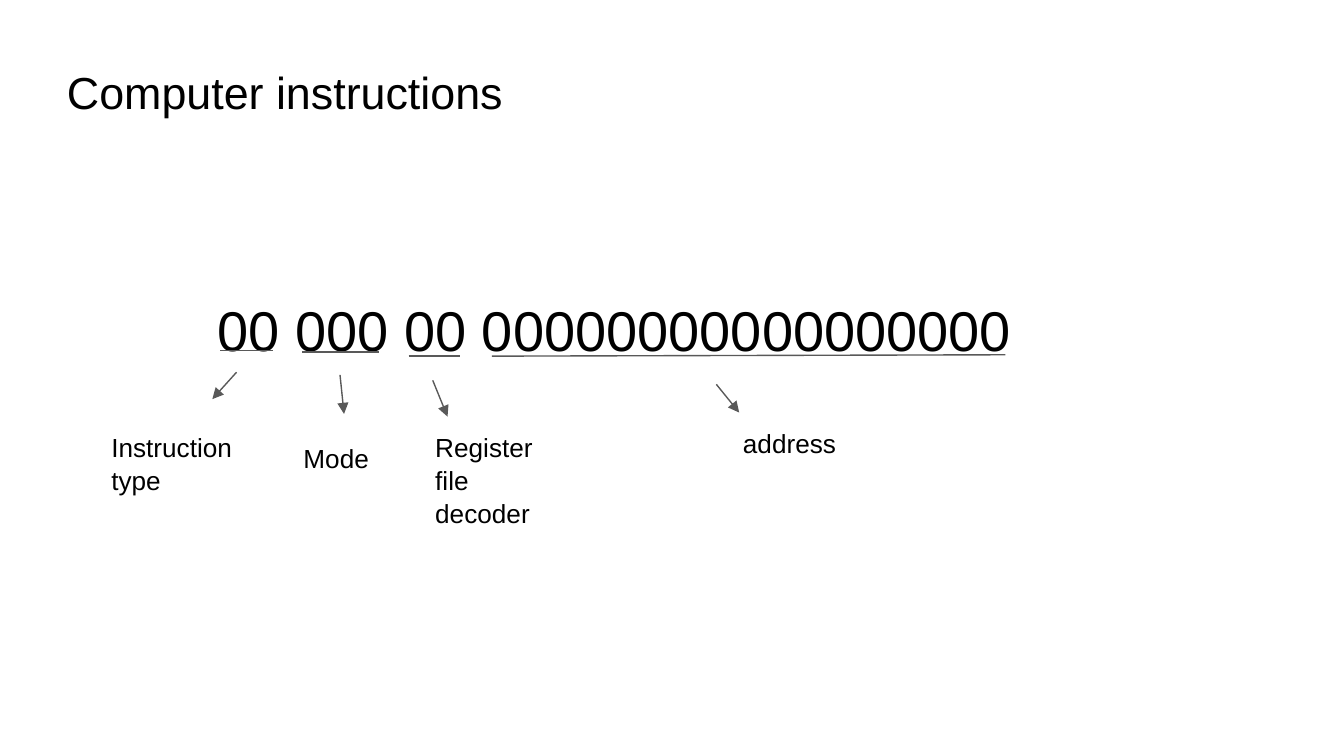
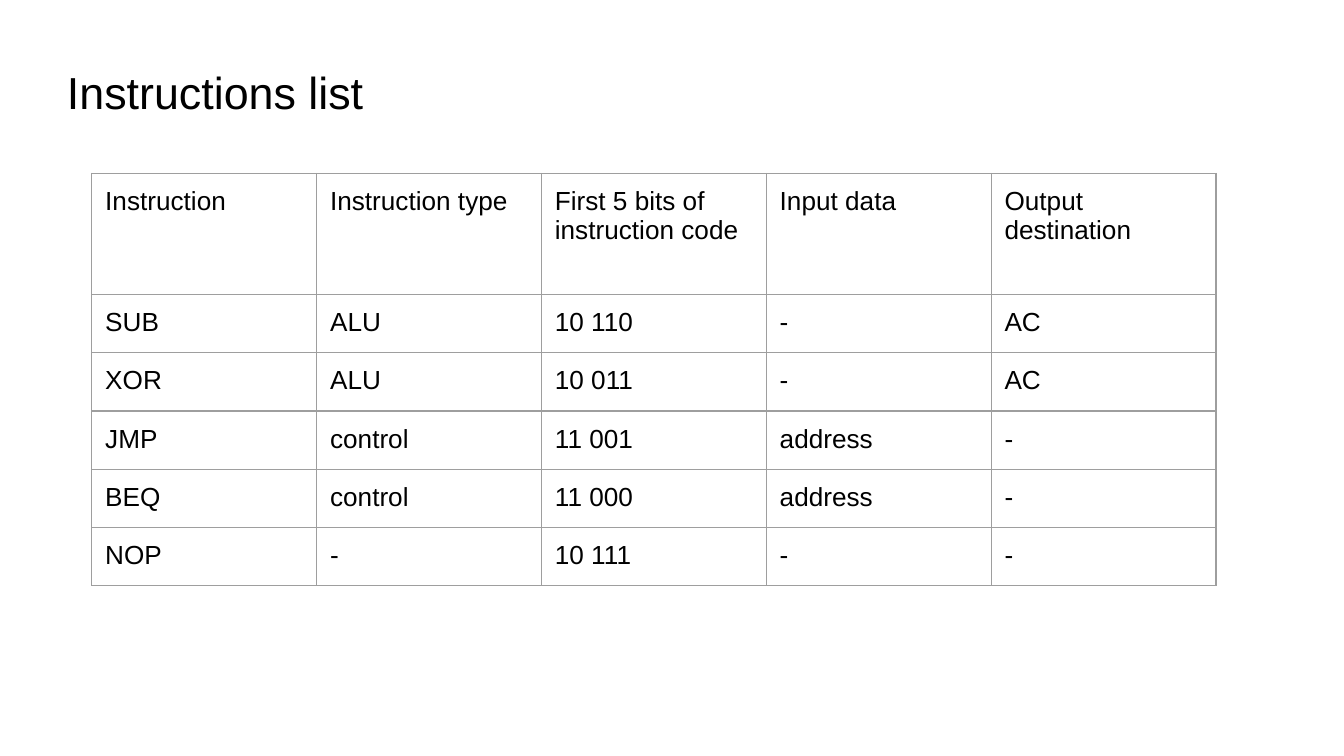
from pptx import Presentation
from pptx.dml.color import RGBColor
from pptx.enum.shapes import MSO_CONNECTOR as Connector
from pptx.oxml.ns import qn
from pptx.util import Inches, Pt
from lxml.etree import SubElement

BLACK, GRAY, BORDER = "000000", "595959", "9E9E9E"
FONT = "Arial"
MARGIN = Inches(0.1)

presentation = Presentation()
presentation.slide_width = Inches(10)
presentation.slide_height = Inches(5.625)
COLUMN = presentation.slide_width / 100
ROW = presentation.slide_height / 56.25


def color(value):
    return RGBColor.from_string(value)


def write(frame, text, size=14, spacing=1.0, fill=BLACK):
    frame.word_wrap = True
    frame.text = text
    for paragraph in frame.paragraphs:
        paragraph.line_spacing = spacing
        font = paragraph.font
        for run in paragraph.runs:
            font = run.font
            font.name, font.size = FONT, Pt(size)
            font.color.rgb = color(fill)


fields_slide, list_slide = [
    presentation.slides.add_slide(presentation.slide_layouts[6]) for _ in range(2)
]

texts = [
    (fields_slide, "Computer instructions", (4, 3.4, 57.7, 7.9), 24, 1.1),
    (list_slide, "Instructions list", (4, 3.4, 38.9, 6.7), 24, 1.1),
    (fields_slide, "00 000 00 00000000000000000", (15.2, 20.6, 72.2, 8.7), 30, 1.08),
    (fields_slide, "Instruction type", (7.3, 31, 11.9, 5.9), 14, 1.05),
    (fields_slide, "Mode", (21.6, 31.8, 7.4, 5.9), 14, 1.05),
    (fields_slide, "Register file\ndecoder", (31.4, 31, 10.7, 10.8), 14, 1.05),
    (fields_slide, "address", (54.3, 30.7, 10.7, 6.6), 14, 1.05),
]
for slide, text, (left, top, width, height), size, spacing in texts:
    box = slide.shapes.add_textbox(
        int(left * COLUMN), int(top * ROW), int(width * COLUMN), int(height * ROW)
    )
    frame = box.text_frame
    frame.margin_left = frame.margin_right = MARGIN
    frame.margin_top = frame.margin_bottom = MARGIN
    write(frame, text, size, spacing)

underlines = [
    (16.4, 26.1, 20.3, 26.1),
    (22.5, 26.2, 28.2, 26.2),
    (30.4, 26.5, 34.2, 26.5),
    (36.6, 26.5, 74.8, 26.4),
]
arrows = [
    (17.6, 27.7, 15.8, 29.7),
    (25.3, 27.9, 25.6, 30.8),
    (32.2, 28.3, 33.3, 31),
    (53.3, 28.6, 55, 30.7),
]
for ends in underlines + arrows:
    start_x, start_y, end_x, end_y = ends
    connector = fields_slide.shapes.add_connector(
        Connector.STRAIGHT,
        int(start_x * COLUMN), int(start_y * ROW),
        int(end_x * COLUMN), int(end_y * ROW),
    )
    connector.line.color.rgb = color(GRAY)
    connector.line.width = Pt(0.75)
    if ends in arrows:
        SubElement(connector.line._get_or_add_ln(), qn("a:tailEnd"),
                   type="triangle", w="med", len="med")
    SubElement(connector._element.spPr, qn("a:effectLst"))

instructions = [
    ("Instruction", "Instruction type", "First 5 bits of instruction code",
     "Input data", "Output destination"),
    ("SUB", "ALU", "10 110", "-", "AC"),
    ("XOR", "ALU", "10 011", "-", "AC"),
    ("JMP", "control", "11 001", "address", "-"),
    ("BEQ", "control", "11 000", "address", "-"),
    ("NOP", "-", "10 111", "-", "-"),
]
column_width, header_height, row_height = 16.73, 9, 4.2
table = list_slide.shapes.add_table(
    len(instructions), len(instructions[0]), int(6.83 * COLUMN), int(12.9 * ROW),
    int(5 * column_width * COLUMN), int((header_height + 5 * row_height) * ROW),
).table
table.first_row = table.horz_banding = False
for column in table.columns:
    column.width = int(column_width * COLUMN)
for row_index, values in enumerate(instructions):
    height = row_height if row_index else header_height
    table.rows[row_index].height = int(height * ROW)
    for column_index, value in enumerate(values):
        cell = table.cell(row_index, column_index)
        cell.margin_left = cell.margin_right = MARGIN
        cell.margin_top = cell.margin_bottom = MARGIN
        write(cell.text_frame, value)
        properties = cell._tc.get_or_add_tcPr()
        for side in ("lnL", "lnR", "lnT", "lnB"):
            border = SubElement(properties, qn(f"a:{side}"), w=str(Pt(0.75)))
            fill = SubElement(border, qn("a:solidFill"))
            SubElement(fill, qn("a:srgbClr"), val=BORDER)
        cell.fill.background()

presentation.save("out.pptx")
